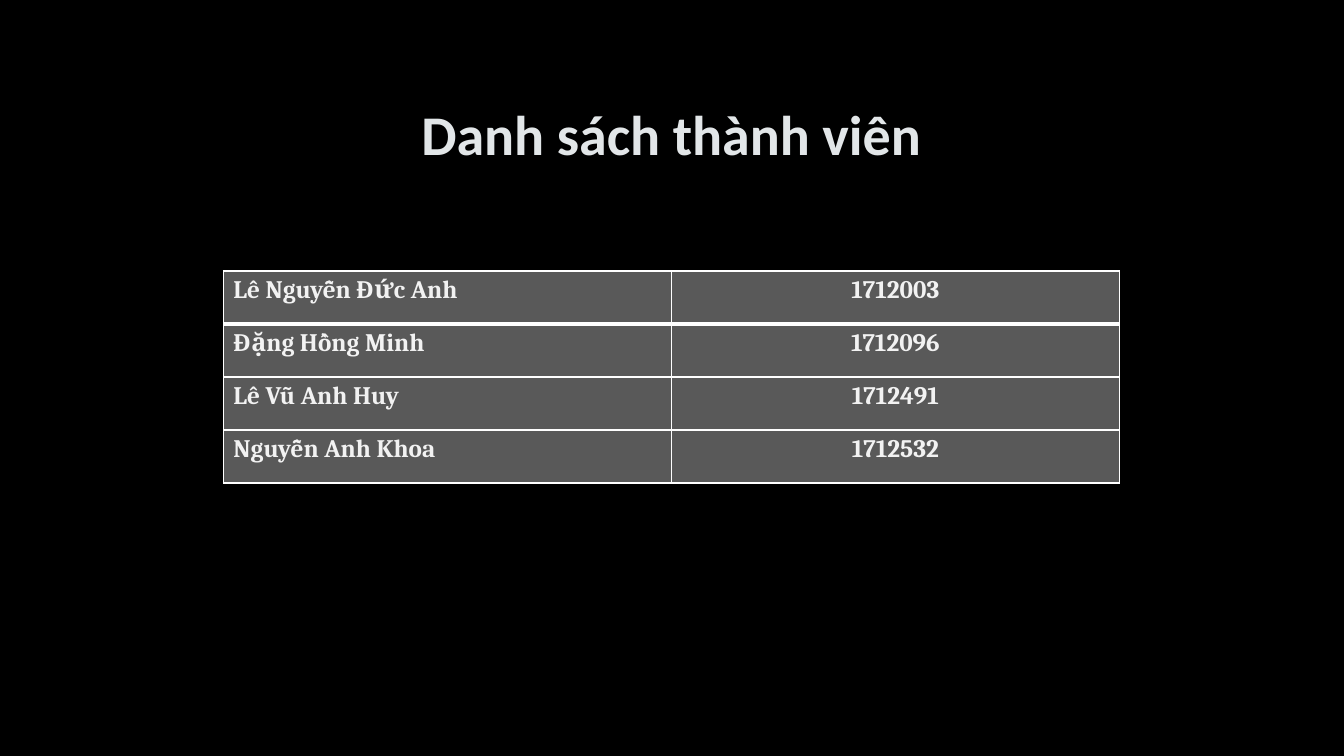
from pptx import Presentation
from pptx.dml.color import RGBColor
from pptx.enum.text import MSO_ANCHOR as Anchor, PP_ALIGN as Align
from pptx.oxml import parse_xml
from pptx.oxml.ns import nsdecls
from pptx.util import Cm, Pt

MEMBERS = [
    ("Lê Nguyễn Đức Anh", "1712003"),
    ("Đặng Hồng Minh", "1712096"),
    ("Lê Vũ Anh Huy", "1712491"),
    ("Nguyễn Anh Khoa", "1712532"),
]


def color(code):
    return RGBColor.from_string(code)


def line(tag, width, code, alpha=100):
    return parse_xml(
        f'<a:{tag} {nsdecls("a")} w="{Pt(width)}"><a:solidFill>'
        f'<a:srgbClr val="{code}"><a:alpha val="{alpha * 1000}"/></a:srgbClr>'
        f'</a:solidFill><a:prstDash val="solid"/></a:{tag}>')


class Deck:
    back, head, ink = "000000", "E2E6E8", "F2F2F2"
    panel, rule, edge = "595959", "FFFFFF", "404040"

    def __init__(self):
        self.prs = Presentation()
        self.prs.slide_width, self.prs.slide_height = Cm(33.87), Cm(19.05)
        self.slide = self.prs.slides.add_slide(self.prs.slide_layouts[5])
        fill = self.slide.background.fill
        fill.solid()
        fill.fore_color.rgb = color(self.back)

    def style(self, par, face, size, code, align):
        par.alignment = align
        font = par.runs[0].font
        font.name, font.size, font.bold = face, Pt(size), True
        font.color.rgb = color(code)

    def title(self, text, left, top, width, height):
        box = self.slide.shapes.title
        box.left, box.top = Cm(left), Cm(top)
        box.width, box.height = Cm(width), Cm(height)
        frame = box.text_frame
        frame.text = text
        frame.vertical_anchor = Anchor.MIDDLE
        par = frame.paragraphs[0]
        par.line_spacing = 0.9
        self.style(par, "Calibri", 40, self.head, Align.CENTER)
        # Faint outline around the letters
        par.runs[0].font._element.insert(0, line("ln", 0.75, self.edge, 10))

    def cell(self, cell, text, align, above, below):
        cell.text_frame.text = text
        self.style(cell.text_frame.paragraphs[0], "Cambria", 18, self.ink, align)
        cell.fill.solid()
        cell.fill.fore_color.rgb = color(self.panel)
        props = cell._tc.get_or_add_tcPr()
        sides = [("lnL", 1), ("lnR", 1), ("lnT", above), ("lnB", below)]
        for spot, (tag, width) in enumerate(sides):
            props.insert(spot, line(tag, width, self.rule))

    def table(self, data, left, top, width, height):
        grid = self.slide.shapes.add_table(
            len(data), len(data[0]), Cm(left), Cm(top), Cm(width), Cm(height)).table
        for row, record in enumerate(data):
            # A thick rule parts the first row from the rest
            above, below = 3 if row == 1 else 1, 3 if row == 0 else 1
            for col, text in enumerate(record):
                align = Align.CENTER if col else Align.LEFT
                self.cell(grid.cell(row, col), text, align, above, below)

    def save(self):
        self.prs.save("out.pptx")


def main():
    deck = Deck()
    # Heading
    deck.title("Danh sách thành viên", 2.54, 1.7, 28.75, 3.5)
    # Members and their numbers
    deck.table(MEMBERS, 5.63, 6.83, 22.58, 5.34)
    deck.save()


if __name__ == "__main__":
    main()
